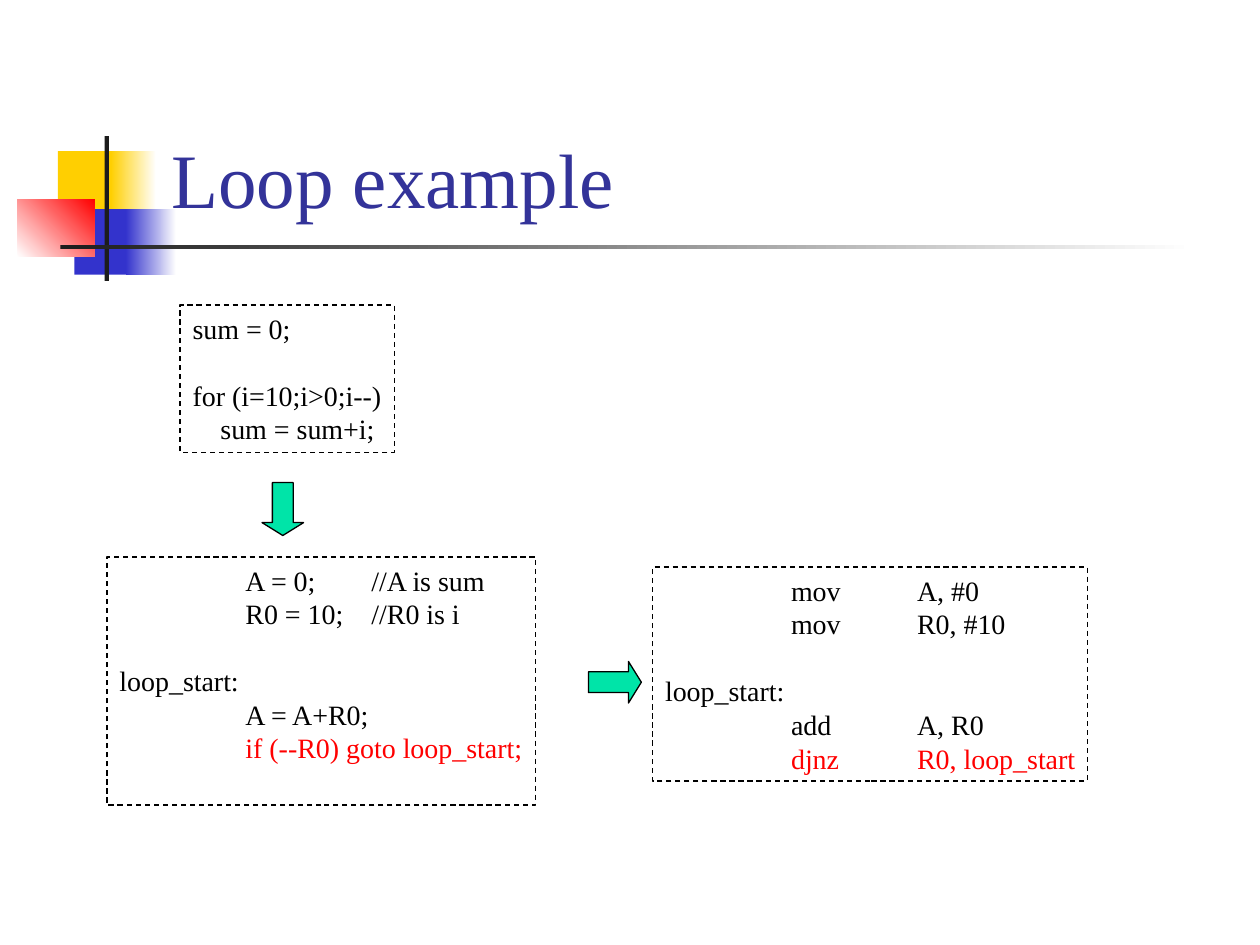
from dataclasses import dataclass
from typing import Optional

import pptx
import pptx.dml.color
import pptx.enum.dml
import pptx.enum.shapes
import pptx.enum.text
import pptx.oxml
import pptx.oxml.ns
import pptx.util

# Lengths are counted on a grid of 100 columns by 75 rows of square cells
CELL = pptx.util.Inches(0.1)
COLUMNS, ROWS = 100, 75
FONT_NAME = "Times New Roman"
CODE_SIZE, CODE_PITCH, TITLE_SIZE = 16, 19.2, 44
TAB_STOPS = (1, 2, 3)
COLORS = {
    "yellow": "FFCF01", "blue": "3333CC", "red": "FF0000", "dark": "1C1C1C",
    "white": "FFFFFF", "title": "333399", "black": "000000", "green": "00E4A8",
}
SHAPES = pptx.enum.shapes.MSO_SHAPE


@dataclass(frozen=True)
class Area:
    column: float
    row: float
    columns: float
    rows: float

    def lengths(self) -> list[int]:
        return [round(n * CELL) for n in (self.column, self.row, self.columns, self.rows)]


@dataclass(frozen=True)
class Ornament:
    area: Area
    color: str
    fade_to: Optional[str] = None
    angle: float = 0


@dataclass(frozen=True)
class CodeLine:
    text: str
    color: str = "black"
    gap_lines: int = 0


@dataclass(frozen=True)
class CodeBox:
    area: Area
    lines: tuple[CodeLine, ...]


@dataclass(frozen=True)
class Arrow:
    area: Area
    kind: SHAPES


ORNAMENTS = (
    Ornament(Area(4.6, 12, 4.8, 5.2), "yellow"),
    Ornament(Area(8.8, 12, 3.6, 5.2), "yellow", "white"),
    Ornament(Area(5.9, 16.6, 4.6, 5.2), "blue"),
    Ornament(Area(10, 16.6, 4, 5.2), "blue", "white"),
    Ornament(Area(1.4, 15.8, 6.1, 4.6), "white", "red", 45),
    Ornament(Area(8.3, 10.8, 0.35, 11.5), "dark"),
    Ornament(Area(4.8, 19.45, 90, 0.35), "dark", "white"),
)
CODE_BOXES = (
    CodeBox(Area(14.3, 24.2, 17, 11.7), (
        CodeLine("sum = 0;"),
        CodeLine("for (i=10;i>0;i--)", gap_lines=1),
        CodeLine("    sum = sum+i;"),
    )),
    CodeBox(Area(8.5, 44.2, 34, 19.7), (
        CodeLine("\tA = 0;\t//A is sum"),
        CodeLine("\tR0 = 10;\t//R0 is i"),
        CodeLine("loop_start:", gap_lines=1),
        CodeLine("\tA = A+R0;"),
        CodeLine("\tif (--R0) goto loop_start;", "red"),
    )),
    CodeBox(Area(51.8, 45, 34.5, 17), (
        CodeLine("\tmov\tA, #0"),
        CodeLine("\tmov\tR0, #10"),
        CodeLine("loop_start:", gap_lines=1),
        CodeLine("\tadd\tA, R0"),
        CodeLine("\tdjnz\tR0, loop_start", "red"),
    )),
)
ARROWS = (
    Arrow(Area(20.8, 38.3, 3.3, 4.2), SHAPES.DOWN_ARROW),
    Arrow(Area(46.7, 52.5, 4.2, 3.3), SHAPES.RIGHT_ARROW),
)


def rgb(name: str) -> pptx.dml.color.RGBColor:
    return pptx.dml.color.RGBColor.from_string(COLORS[name])


def add_plain_shape(slide, kind, area: Area):
    shape = slide.shapes.add_shape(kind, *area.lengths())
    shape.shadow.inherit = False
    return shape


def outline(shape) -> None:
    shape.line.color.rgb = rgb("black")
    shape.line.width = pptx.util.Pt(0.75)


def set_attributes(target, values: dict) -> None:
    for name, value in values.items():
        setattr(target, name, value)


def write_run(paragraph, text: str, size: float, color: str) -> None:
    run = paragraph.add_run()
    run.text = text
    set_attributes(run.font, {"name": FONT_NAME, "size": pptx.util.Pt(size)})
    run.font.color.rgb = rgb(color)


def add_tab_stops(paragraph) -> None:
    properties = paragraph._p.get_or_add_pPr()
    tab_list = pptx.oxml.parse_xml(f"<a:tabLst {pptx.oxml.ns.nsdecls('a')}/>")
    for inches in TAB_STOPS:
        tab = tab_list.makeelement(pptx.oxml.ns.qn("a:tab"), {
            "pos": str(pptx.util.Inches(inches)), "algn": "l"})
        tab_list.append(tab)
    properties.append(tab_list)


def draw_ornament(slide, ornament: Ornament) -> None:
    shape = add_plain_shape(slide, SHAPES.RECTANGLE, ornament.area)
    shape.line.fill.background()
    if ornament.fade_to is None:
        shape.fill.solid()
        shape.fill.fore_color.rgb = rgb(ornament.color)
        return
    shape.fill.gradient()
    shape.fill.gradient_angle = ornament.angle
    for stop, color in zip(shape.fill.gradient_stops, (ornament.color, ornament.fade_to)):
        stop.color.rgb = rgb(color)


def draw_title(slide, text: str, area: Area) -> None:
    frame = slide.shapes.add_textbox(*area.lengths()).text_frame
    set_attributes(frame, {
        "word_wrap": True, "vertical_anchor": pptx.enum.text.MSO_ANCHOR.BOTTOM})
    write_run(frame.paragraphs[0], text, TITLE_SIZE, "title")


def draw_code_box(slide, box: CodeBox) -> None:
    shape = add_plain_shape(slide, SHAPES.RECTANGLE, box.area)
    shape.fill.background()
    outline(shape)
    shape.line.dash_style = pptx.enum.dml.MSO_LINE.DASH
    frame = shape.text_frame
    set_attributes(frame, {
        "word_wrap": False, "vertical_anchor": pptx.enum.text.MSO_ANCHOR.TOP})
    for index, line in enumerate(box.lines):
        paragraph = frame.add_paragraph() if index else frame.paragraphs[0]
        add_tab_stops(paragraph)
        set_attributes(paragraph, {
            "alignment": pptx.enum.text.PP_ALIGN.LEFT,
            "line_spacing": pptx.util.Pt(CODE_PITCH),
            "space_before": pptx.util.Pt(CODE_PITCH * line.gap_lines)})
        write_run(paragraph, line.text, CODE_SIZE, line.color)


def draw_arrow(slide, arrow: Arrow) -> None:
    shape = add_plain_shape(slide, arrow.kind, arrow.area)
    shape.adjustments[0], shape.adjustments[1] = 0.5, 0.31
    shape.fill.solid()
    shape.fill.fore_color.rgb = rgb("green")
    outline(shape)


def main() -> None:
    presentation = pptx.Presentation()
    set_attributes(presentation, {
        "slide_width": COLUMNS * CELL, "slide_height": ROWS * CELL})
    slide = presentation.slides.add_slide(presentation.slide_layouts[6])
    # Decoration behind the title
    for ornament in ORNAMENTS:
        draw_ornament(slide, ornament)
    draw_title(slide, "Loop example", Area(12.6, 2.3, 85.2, 16))
    # From C code to pseudo code to assembly
    for box in CODE_BOXES:
        draw_code_box(slide, box)
    for arrow in ARROWS:
        draw_arrow(slide, arrow)
    presentation.save("out.pptx")


if __name__ == "__main__":
    main()
